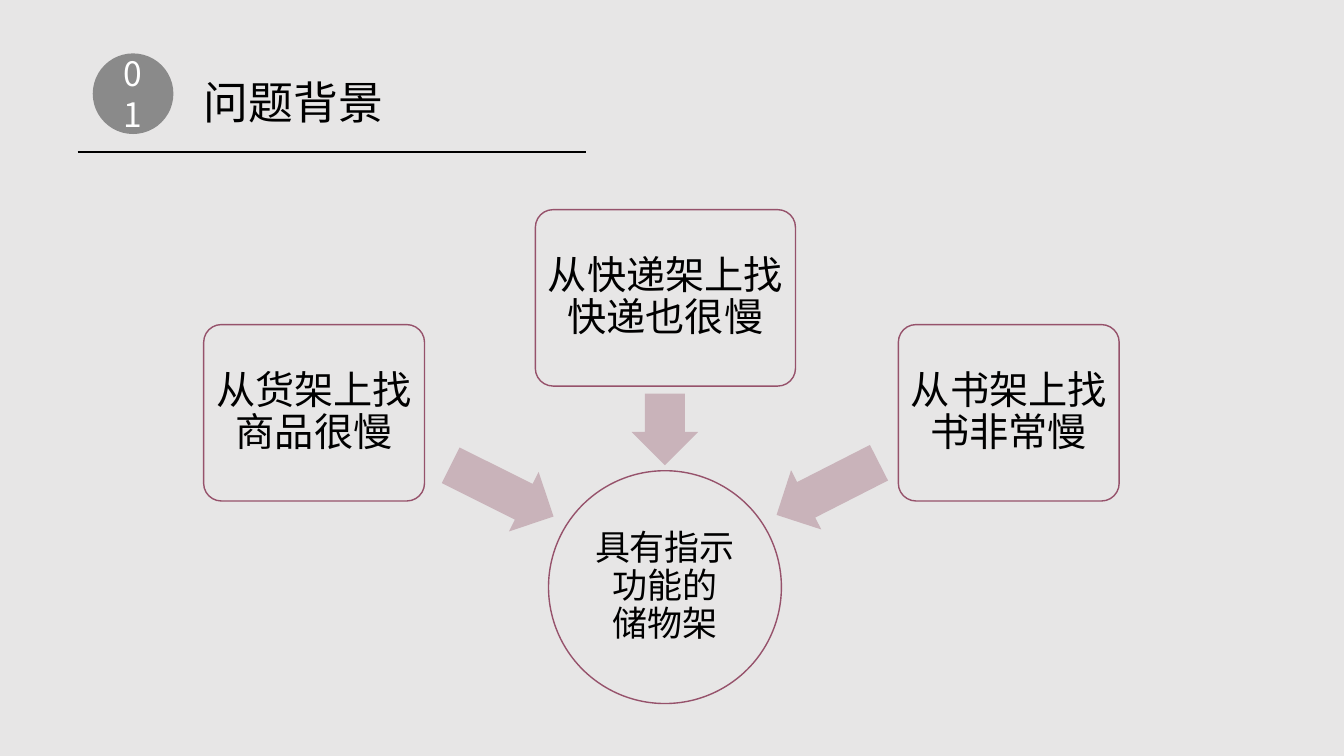
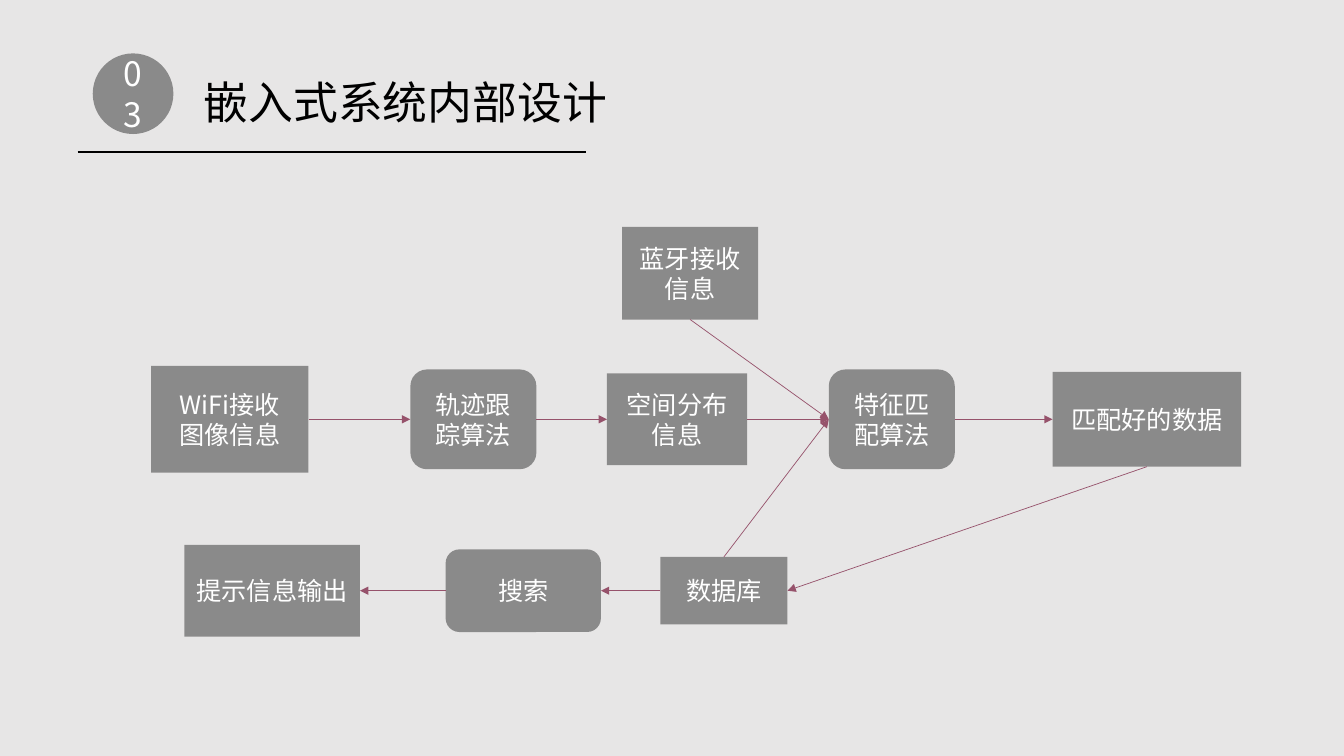
from pptx import Presentation
from pptx.dml.color import RGBColor
from pptx.enum.shapes import MSO_CONNECTOR as Link, MSO_SHAPE as Shape
from pptx.enum.text import MSO_ANCHOR as Anchor, MSO_AUTO_SIZE as Fit, PP_ALIGN as Align
from pptx.oxml.ns import qn
from pptx.util import Inches, Pt
from lxml.etree import SubElement

FONT = "Noto Sans CJK SC"
PAPER = RGBColor(0xE7, 0xE6, 0xE6)
BLACK = RGBColor(0, 0, 0)
WHITE = RGBColor(0xFF, 0xFF, 0xFF)
WINE = RGBColor(0x96, 0x52, 0x6B)
PINK = RGBColor(0xC9, 0xB3, 0xBA)
TOP, LEFT, BOTTOM, RIGHT = range(4)
BOX, ROUND = Shape.RECTANGLE, Shape.ROUNDED_RECTANGLE

# left, top, width, height
CAUSES = [
    ("从货架上找商品很慢", (2.02, 3.22, 2.19, 1.75)),
    ("从快递架上找快递也很慢", (5.31, 2.08, 2.58, 1.75)),
    ("从书架上找书非常慢", (8.91, 3.22, 2.19, 1.75)),
]
GOAL = ("具有指示功能的\n储物架", (5.44, 4.67, 2.31, 2.31))
ARROWS = [
    ((4.41, 4.54, 1.14, 0.66), 206.5),
    ((6.24, 3.93, 0.71, 0.66), 270),
    ((7.64, 4.52, 1.14, 0.66), 333),
]

# row middle, then: key, text, shape, left, width, height
ROWS = [
    (2.71, [("blue", "蓝牙接收信息", BOX, 6.17, 1.35, 0.92)]),
    (4.16, [
        ("wifi", "WiFi接收\n图像信息", BOX, 1.5, 1.56, 1.06),
        ("track", "轨迹跟踪算法", ROUND, 4.07, 1.25, 0.99),
        ("space", "空间分布信息", BOX, 6.02, 1.39, 0.91),
        ("match", "特征匹配算法", ROUND, 8.22, 1.25, 0.99),
        ("data", "匹配好的数据", BOX, 10.44, 1.87, 0.94),
    ]),
    (5.86, [
        ("hint", "提示信息输出", BOX, 1.83, 1.74, 0.91),
        ("search", "搜索", ROUND, 4.42, 1.54, 0.82),
        ("base", "数据库", BOX, 6.55, 1.26, 0.67),
    ]),
]
FLOWS = [
    ("wifi", RIGHT, "track", LEFT),
    ("track", RIGHT, "space", LEFT),
    ("space", RIGHT, "match", LEFT),
    ("base", TOP, "match", LEFT),
    ("blue", BOTTOM, "match", LEFT),
    ("match", RIGHT, "data", LEFT),
    ("data", BOTTOM, "base", RIGHT),
    ("base", LEFT, "search", RIGHT),
    ("search", LEFT, "hint", RIGHT),
]


def write(shape, text, size=18, color=WHITE, align=Align.CENTER, inset=None,
          space=None, wrap=True):
    frame = shape.text_frame
    frame.text = text
    frame.auto_size = Fit.NONE
    frame.word_wrap = wrap
    frame.vertical_anchor = Anchor.MIDDLE
    if inset is not None:
        frame.margin_left = frame.margin_right = Inches(inset)
        frame.margin_top = frame.margin_bottom = Inches(inset)
    for para in frame.paragraphs:
        para.alignment = align
        para.line_spacing = space
        for run in para.runs:
            run.font.name = FONT
            run.font.size = Pt(size)
            run.font.color.rgb = color
            SubElement(run.font._element, qn("a:ea"), typeface=FONT)


def add(slide, kind, at, fill=None, line=None, alpha=None):
    shape = slide.shapes.add_shape(kind, *map(Inches, at))
    shape.shadow.inherit = False
    if fill is None:
        shape.fill.background()
    else:
        shape.fill.solid()
        shape.fill.fore_color.rgb = fill
    if alpha is not None:
        tint = shape._element.spPr.find(".//" + qn("a:srgbClr"))
        SubElement(tint, qn("a:alpha"), val=str(alpha * 1000))
    if line is None:
        shape.line.fill.background()
    else:
        shape.line.color.rgb = line
        shape.line.width = Pt(1)
    return shape


def join(slide, start, end, color, width):
    """Draw a straight line between two points in inches."""
    line = slide.shapes.add_connector(Link.STRAIGHT, *map(Inches, start + end))
    line.line.color.rgb = color
    line.line.width = Pt(width)
    SubElement(line._element.spPr, qn("a:effectLst"))
    return line


def start(deck, number, title):
    """Add a slide with its numbered badge, title and rule."""
    slide = deck.slides.add_slide(deck.slide_layouts[5])
    badge = add(slide, Shape.OVAL, (0.92, 0.53, 0.8, 0.8), BLACK, alpha=40)
    write(badge, number, size=24)
    head = slide.shapes.title
    head.left, head.top = Inches(1.92), Inches(0.69)
    head.width, head.height = Inches(4.24), Inches(0.64)
    write(head, title, size=32, color=BLACK, align=Align.LEFT, wrap=False)
    join(slide, (0.77, 1.51), (5.81, 1.51), BLACK, 1)
    return slide


def causes(deck):
    slide = start(deck, "01", "问题背景")
    text, at = GOAL
    goal = add(slide, Shape.OVAL, at, line=WINE)
    write(goal, text, size=25, color=BLACK, inset=0.02, space=0.9)
    for at, turn in ARROWS:
        arrow = add(slide, Shape.LEFT_ARROW, at, PINK)
        arrow.adjustments[0] = 0.6
        arrow.rotation = turn
    for text, at in CAUSES:
        box = add(slide, ROUND, at, line=WINE)
        box.adjustments[0] = 0.1
        write(box, text, size=28, color=BLACK, inset=0.06, space=0.9)


def design(deck):
    slide = start(deck, "03", "嵌入式系统内部设计")
    nodes = {}
    for mid, row in ROWS:
        for key, text, kind, left, width, height in row:
            at = (left, mid - height / 2, width, height)
            nodes[key] = add(slide, kind, at, BLACK, alpha=40)
            write(nodes[key], text)
    for src, out, dest, into in FLOWS:
        flow = join(slide, (0, 0), (1, 1), WINE, 0.5)
        flow.begin_connect(nodes[src], out)
        flow.end_connect(nodes[dest], into)
        SubElement(flow.line._get_or_add_ln(), qn("a:tailEnd"), type="triangle")


def main():
    deck = Presentation()
    deck.slide_width, deck.slide_height = Inches(13.33), Inches(7.5)
    back = deck.slide_master.background.fill
    back.solid()
    back.fore_color.rgb = PAPER
    causes(deck)
    design(deck)
    deck.save("out.pptx")


if __name__ == "__main__":
    main()
